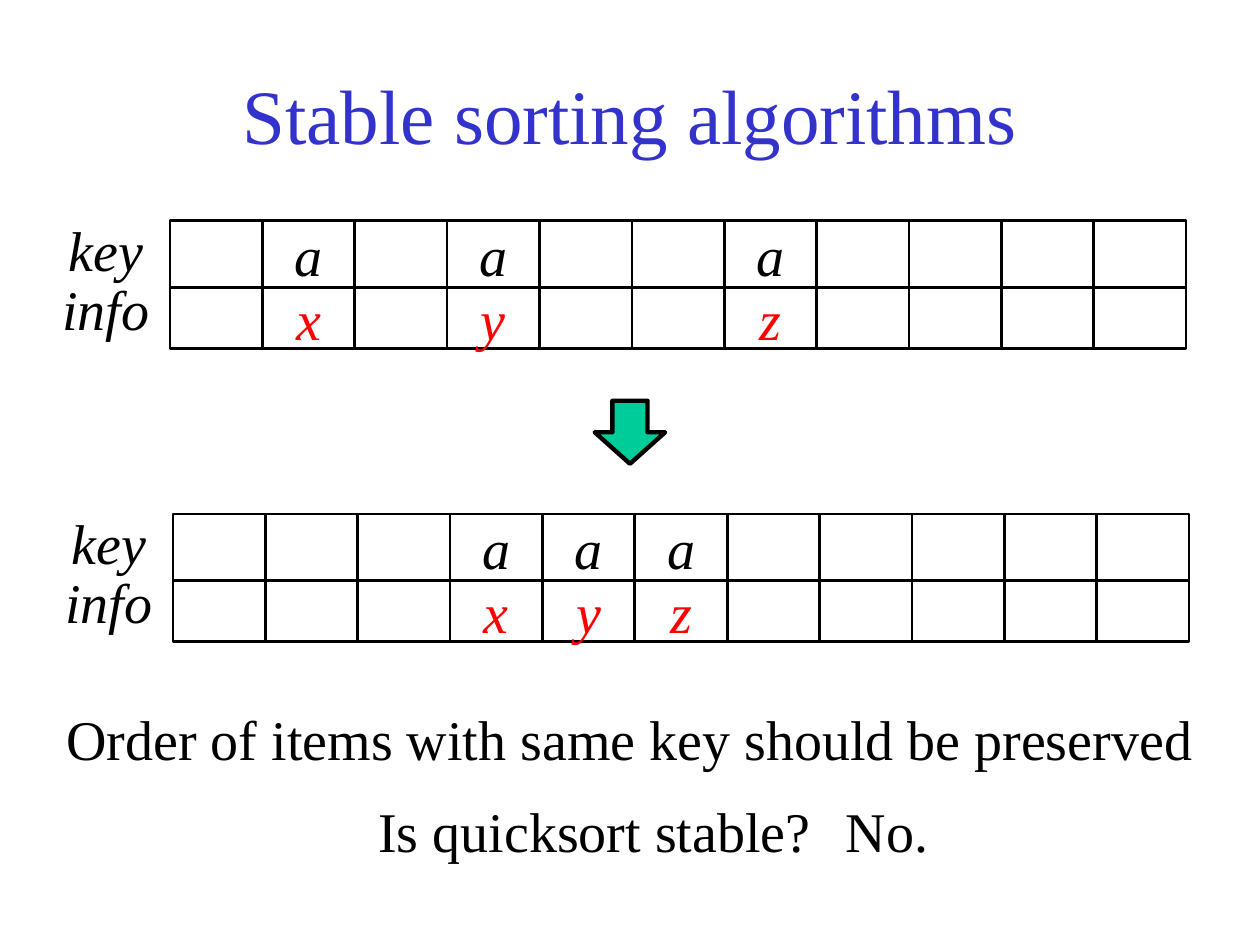
from pptx import Presentation
from pptx.dml.color import RGBColor
from pptx.enum.shapes import MSO_SHAPE as Shape
from pptx.enum.text import MSO_ANCHOR as Anchor, PP_ALIGN as Align
from pptx.util import Cm, Pt

BLACK = RGBColor(0x00, 0x00, 0x00)
RED = RGBColor(0xFF, 0x00, 0x00)
BLUE = RGBColor(0x33, 0x33, 0xCC)
GREEN = RGBColor(0x00, 0xCC, 0x99)

FONT = "Times New Roman"
CELL_COUNT = 11
LABEL_WIDTH, LABEL_HEIGHT = 2.59, 1.63


def write(shape, text, color=BLACK, size=32, italic=False,
          anchor=Anchor.MIDDLE, wrap=True, align=Align.CENTER):
    frame = shape.text_frame
    frame.word_wrap = wrap
    frame.vertical_anchor = anchor
    paragraph = frame.paragraphs[0]
    paragraph.text = text
    paragraph.alignment = align
    font = paragraph.font
    font.name, font.size, font.italic = FONT, Pt(size), italic
    font.color.rgb = color


def add_text(slide, box, text, **style):
    textbox = slide.shapes.add_textbox(*map(Cm, box))
    write(textbox, text, **style)


def add_outlined(slide, kind, box, line_width, fill=None):
    shape = slide.shapes.add_shape(kind, *map(Cm, box))
    shape.shadow.inherit = False
    if fill is None:
        shape.fill.background()
    else:
        shape.fill.solid()
        shape.fill.fore_color.rgb = fill
    shape.line.color.rgb = BLACK
    shape.line.width = Pt(line_width)
    return shape


def add_array(slide, box, items):
    """Draw labelled key and info rows; items maps a column to its info."""
    left, top, width, height = box
    key_height = height * 0.525
    cells_left = left + LABEL_WIDTH
    pitch = (width - LABEL_WIDTH) / CELL_COUNT
    keys = dict.fromkeys(items, "a")
    rows = [
        ("key", top, key_height, top - 0.23, keys, BLACK),
        ("info", top + key_height, height - key_height, top + 0.96, items, RED),
    ]
    for label, row_top, row_height, label_top, values, color in rows:
        # Row label
        add_text(slide, (left, label_top, LABEL_WIDTH, LABEL_HEIGHT), label,
                 italic=True, anchor=Anchor.TOP)
        # Cells
        for column in range(CELL_COUNT):
            cell_box = (cells_left + column * pitch, row_top, pitch, row_height)
            cell = add_outlined(slide, Shape.RECTANGLE, cell_box, 1.5)
            if column in values:
                write(cell, values[column], color, italic=True, wrap=False)


def add_conclusion(slide, box):
    left, top, width, _ = box
    add_text(slide, (left, top, width, LABEL_HEIGHT),
             "Order of items with same key should be preserved",
             anchor=Anchor.TOP)
    # Question and its answer share a line
    answer_top = top + 1.86
    add_text(slide, (left + 7.34, answer_top, 9.3, LABEL_HEIGHT),
             "Is quicksort stable?", anchor=Anchor.TOP)
    add_text(slide, (left + 16.8, answer_top, 2.5, LABEL_HEIGHT),
             "No.", anchor=Anchor.TOP, align=Align.LEFT)


def main():
    presentation = Presentation()
    presentation.slide_width, presentation.slide_height = Cm(25.4), Cm(19.05)
    slide = presentation.slides.add_slide(presentation.slide_layouts[6])

    # Title
    add_text(slide, (0, 1.14, 25.4, 2.31), "Stable sorting algorithms",
             color=BLUE, size=44)
    # Array before and after sorting
    add_array(slide, (0.84, 4.45, 23.07, 2.57), {1: "x", 3: "y", 6: "z"})
    add_outlined(slide, Shape.DOWN_ARROW, (11.99, 8.08, 1.42, 1.27), 2.5, GREEN)
    add_array(slide, (0.9, 10.36, 23.07, 2.57), {3: "x", 4: "y", 5: "z"})
    # Closing remarks
    add_conclusion(slide, (0, 14.07, 25.4, 3.49))

    presentation.save("out.pptx")


if __name__ == "__main__":
    main()
